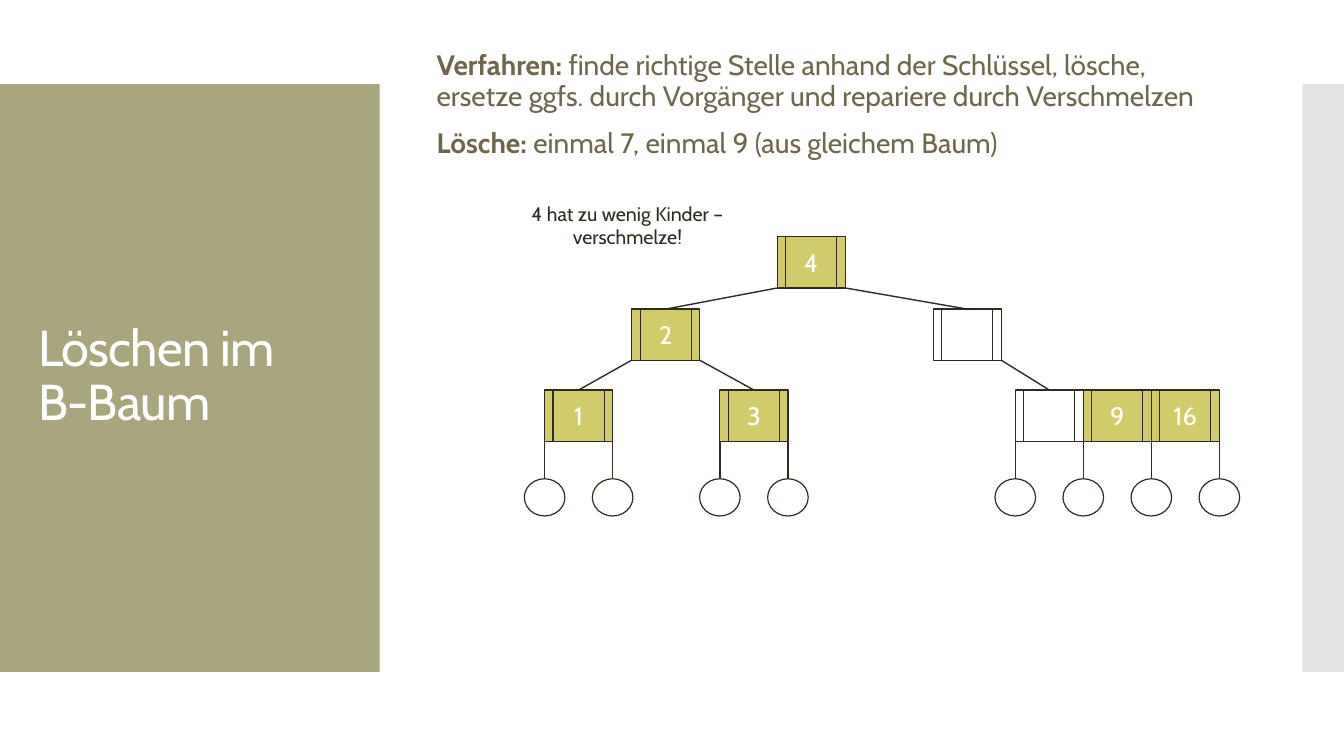
import lxml.etree
import pptx
import pptx.dml.color
import pptx.enum.shapes
import pptx.enum.text
import pptx.oxml.ns
import pptx.util

Pt = pptx.util.Pt
qn = pptx.oxml.ns.qn
SHAPE = pptx.enum.shapes.MSO_SHAPE
ALIGN = pptx.enum.text.PP_ALIGN
ANCHOR = pptx.enum.text.MSO_ANCHOR

INK, WHITE, KEY, OLIVE, BROWN, GREY = (
    "2F2B20", "FFFFFF", "D2CB6C", "A9A57C", "6F664C", "C8C8C8")
NODE_WIDTH, NODE_HEIGHT = 48.6, 36.5
CIRCLE_WIDTH, CIRCLE_HEIGHT = 29, 26.6
ROOT_TOP, INNER_TOP, LEAF_TOP, CIRCLE_TOP = 169.2, 220.8, 278.6, 342


def colour(code):
    return pptx.dml.color.RGBColor.from_string(code)


class TreePage:
    font_name = "Cabin"

    def __init__(self, deck):
        self.page = deck.slides.add_slide(deck.slide_layouts[1])
        self.shapes = self.page.shapes

    def add_span(self, para, text, size, code, bold=False):
        span = para.add_run()
        span.text = text
        span.font.name = self.font_name
        span.font.size = Pt(size)
        span.font.bold = bold
        span.font.color.rgb = colour(code)
        return span

    def place(self, holder, left, top, width, height):
        holder.left, holder.top = Pt(left), Pt(top)
        holder.width, holder.height = Pt(width), Pt(height)
        frame = holder.text_frame
        frame.word_wrap = True
        frame.auto_size = pptx.enum.text.MSO_AUTO_SIZE.NONE
        frame.vertical_anchor = ANCHOR.MIDDLE
        return frame

    def title(self, lines, *bounds):
        para = self.place(self.shapes.title, *bounds).paragraphs[0]
        para.alignment = ALIGN.LEFT
        para.line_spacing = 0.9
        for index, line in enumerate(lines):
            if index:
                para.add_line_break()
            span = self.add_span(para, line, 36, WHITE)
            span._r.get_or_add_rPr().set("spc", "-60")

    def body(self, entries, *bounds):
        frame = self.place(self.page.placeholders[1], *bounds)
        for index, (label, text) in enumerate(entries):
            para = frame.add_paragraph() if index else frame.paragraphs[0]
            properties = para._p.get_or_add_pPr()
            properties.set("marL", "0")
            properties.set("indent", "0")
            lxml.etree.SubElement(properties, qn("a:buNone"))
            para.alignment = ALIGN.LEFT
            para.line_spacing = 0.9
            para.space_before = Pt(12 if index else 0)
            self.add_span(para, label, 20, BROWN, True)
            self.add_span(para, text, 20, BROWN)

    def shape(self, kind, left, top, width, height, fill, line=None):
        box = self.shapes.add_shape(kind, Pt(left), Pt(top), Pt(width), Pt(height))
        box.shadow.inherit = False
        box.fill.solid()
        box.fill.fore_color.rgb = colour(fill)
        if line:
            box.line.color.rgb = colour(line)
            box.line.width = Pt(0.85)
        else:
            box.line.fill.background()
        return box

    def band(self, left, width, fill, opacity=100):
        box = self.shape(SHAPE.RECTANGLE, left, 60, width, 420, fill)
        if opacity < 100:
            tint = box.element.spPr.find(".//" + qn("a:srgbClr"))
            lxml.etree.SubElement(tint, qn("a:alpha"), val=str(opacity * 1000))
        self.shapes.title.element.addprevious(box.element)

    def node(self, left, top, key):
        box = self.shape(SHAPE.FLOWCHART_PREDEFINED_PROCESS, left, top,
                         NODE_WIDTH, NODE_HEIGHT, KEY if key else WHITE, INK)
        if key:
            frame = box.text_frame
            frame.margin_left = frame.margin_right = 0
            frame.margin_top = frame.margin_bottom = 0
            frame.vertical_anchor = ANCHOR.MIDDLE
            frame.paragraphs[0].alignment = ALIGN.CENTER
            self.add_span(frame.paragraphs[0], key, 18, WHITE)
        return box

    def branch(self, x, y, child):
        line = self.shapes.add_connector(
            pptx.enum.shapes.MSO_CONNECTOR.STRAIGHT, Pt(x), Pt(y), Pt(x), Pt(y))
        line.end_connect(child, 0)
        line.line.color.rgb = colour(INK)
        line.line.width = Pt(1)
        lxml.etree.SubElement(line.element.spPr, qn("a:effectLst"))

    def leaf(self, left, keys):
        nodes = [self.node(left + index * NODE_WIDTH, LEAF_TOP, key)
                 for index, key in enumerate(keys)]
        for index in range(len(keys) + 1):
            x = left + index * NODE_WIDTH
            circle = self.shape(SHAPE.OVAL, x - CIRCLE_WIDTH / 2, CIRCLE_TOP,
                                CIRCLE_WIDTH, CIRCLE_HEIGHT, WHITE, INK)
            self.branch(x, LEAF_TOP + NODE_HEIGHT, circle)
        return nodes[0]

    def caption(self, text, left, top, width, height):
        box = self.shapes.add_textbox(Pt(left), Pt(top), Pt(width), Pt(height))
        box.text_frame.word_wrap = True
        para = box.text_frame.paragraphs[0]
        para.alignment = ALIGN.CENTER
        self.add_span(para, text, 14, INK)


def main():
    deck = pptx.Presentation()
    deck.slide_width, deck.slide_height = Pt(960), Pt(540)
    page = TreePage(deck)
    page.band(0, 271.2, OLIVE)
    page.band(930.2, 29.8, GREY, 50)
    page.title(["Löschen im", "B-Baum"], 20, 88.6, 232, 362)
    page.body([
        ("Verfahren:", " finde richtige Stelle anhand der Schlüssel, lösche, "
         "ersetze ggfs. durch Vorgänger und repariere durch Verschmelzen"),
        ("Lösche: ", "einmal 7, einmal 9 (aus gleichem Baum)"),
    ], 304.6, 23.8, 576, 103)

    root_left = 555.2
    page.node(root_left, ROOT_TOP, "4")
    subtrees = [
        (451.2, "2", 0, [(389, ["1"], 0), (514.2, ["3"], 1)]),
        (666.6, "", 1, [(725.2, ["", "9", "16"], 1)]),
    ]
    for left, key, side, leaves in subtrees:
        inner = page.node(left, INNER_TOP, key)
        page.branch(root_left + side * NODE_WIDTH, ROOT_TOP + NODE_HEIGHT, inner)
        for leaf_left, keys, leaf_side in leaves:
            leaf = page.leaf(leaf_left, keys)
            page.branch(left + leaf_side * NODE_WIDTH, INNER_TOP + NODE_HEIGHT, leaf)
    page.caption("4 hat zu wenig Kinder – verschmelze!", 369.4, 140.4, 157.6, 41)
    deck.save("out.pptx")


if __name__ == "__main__":
    main()
